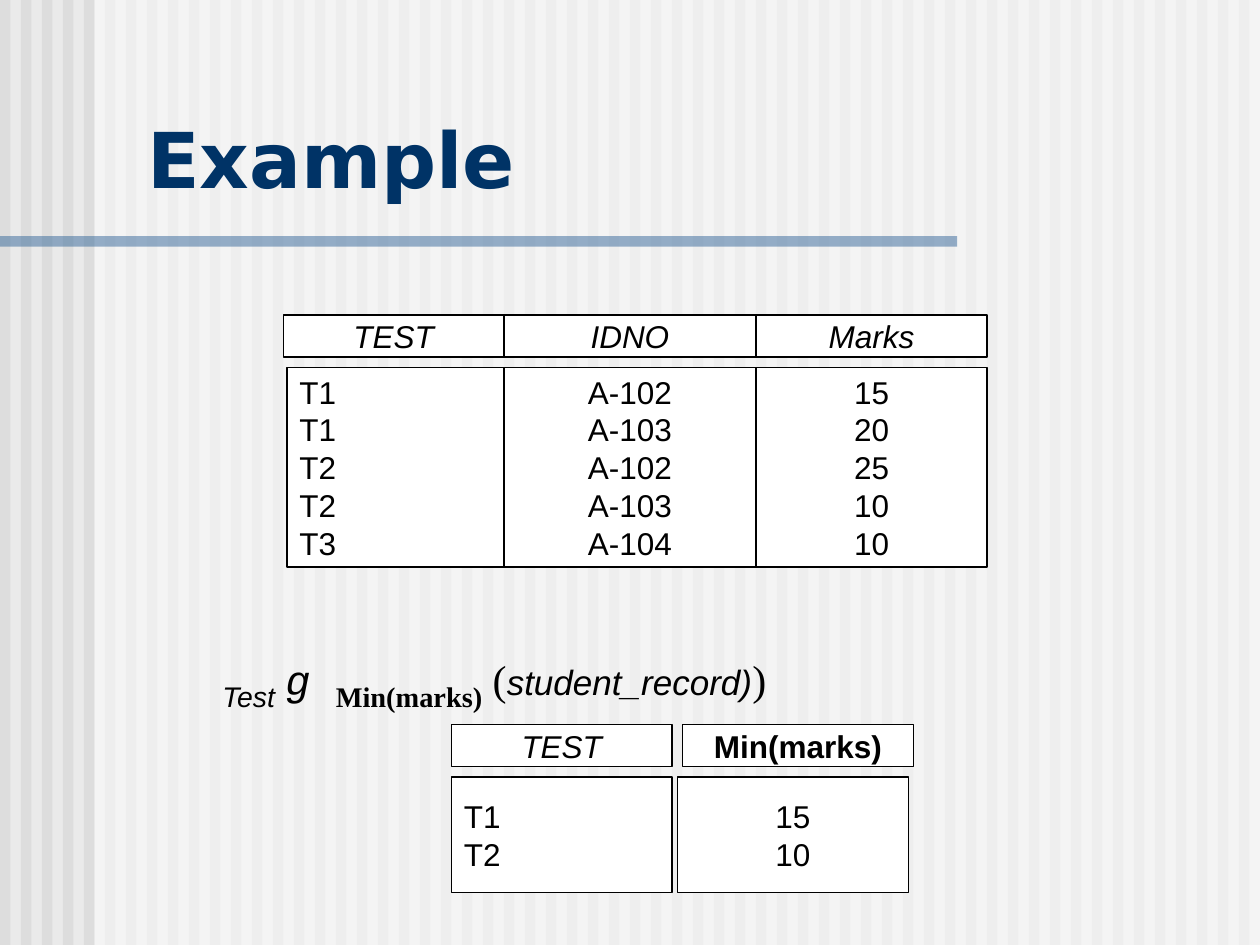
from lxml import etree
from pptx import Presentation
from pptx.dml.color import RGBColor
from pptx.enum.shapes import MSO_SHAPE
from pptx.enum.text import MSO_ANCHOR, PP_ALIGN
from pptx.oxml.ns import qn
from pptx.util import Pt

RECTANGLE = MSO_SHAPE.RECTANGLE
TOP, MIDDLE, BOTTOM = MSO_ANCHOR.TOP, MSO_ANCHOR.MIDDLE, MSO_ANCHOR.BOTTOM
LEFT, CENTER = PP_ALIGN.LEFT, PP_ALIGN.CENTER
WIDTH, HEIGHT = 720, 540


def rgb(color):
    return RGBColor.from_string(color)


class SlideBuilder:
    sans, serif, mono, title_font = "Arial", "Times New Roman", "Courier New", "DejaVu Sans"
    black, white, navy, blue = "000000", "FFFFFF", "003366", "336699"
    background, stripe = "EAEAEA", "DDDDDD"

    def __init__(self, slide):
        self.slide = slide
        fill = slide.background.fill
        fill.solid()
        fill.fore_color.rgb = rgb(self.background)

    def rectangle(self, left, top, width, height, color, opacity=100):
        shape = self.slide.shapes.add_shape(RECTANGLE, Pt(left), Pt(top), Pt(width), Pt(height))
        shape.shadow.inherit = False
        shape.fill.solid()
        shape.fill.fore_color.rgb = rgb(color)
        shape.line.fill.background()
        if opacity < 100:
            color_element = shape.fill._xPr.find(qn("a:solidFill"))[0]
            etree.SubElement(color_element, qn("a:alpha"), val=str(opacity * 1000))
        return shape

    def cell(self, left, top, width, height, lines, align=CENTER, italic=False, bold=False):
        """Draw an outlined box with one paragraph per line."""
        shape = self.rectangle(left, top, width, height, self.white)
        shape.line.color.rgb = rgb(self.black)
        shape.line.width = Pt(0.75)
        frame = shape.text_frame
        frame.word_wrap = False
        frame.vertical_anchor = MIDDLE
        frame.text = "\n".join(lines)
        for paragraph in frame.paragraphs:
            paragraph.alignment = align
            self.style(paragraph.font, self.sans, 18, self.black, italic, bold)

    def text_box(self, left, top, width, height, anchor=TOP):
        """Add an empty wrapping text box and return its first paragraph."""
        frame = self.slide.shapes.add_textbox(Pt(left), Pt(top), Pt(width), Pt(height)).text_frame
        frame.word_wrap = True
        frame.vertical_anchor = anchor
        return frame.paragraphs[0]

    def title(self, text, *box):
        paragraph = self.text_box(*box, anchor=BOTTOM)
        paragraph.text = text
        self.style(paragraph.font, self.title_font, 44, self.navy, bold=True)

    def expression(self, parts, *box):
        """Write runs given as (text, font, size, italic, bold, subscript)."""
        paragraph = self.text_box(*box)
        for text, name, size, italic, bold, subscript in parts:
            run = paragraph.add_run()
            run.text = text
            self.style(run.font, name, size, self.black, italic, bold)
            if subscript:
                run._r.get_or_add_rPr().set("baseline", "-25000")

    @staticmethod
    def style(font, name, size, color, italic=False, bold=False):
        font.name, font.size = name, Pt(size)
        font.italic, font.bold = italic, bold
        font.color.rgb = rgb(color)


def main():
    presentation = Presentation()
    presentation.slide_width, presentation.slide_height = Pt(WIDTH), Pt(HEIGHT)
    builder = SlideBuilder(presentation.slides.add_slide(presentation.slide_layouts[6]))

    for left in range(0, WIDTH, 12):
        builder.rectangle(left, 0, 6, HEIGHT, builder.stripe)
    builder.rectangle(54, 0, WIDTH - 54, HEIGHT, builder.white, opacity=50)
    builder.rectangle(0, 135, 547, 6, builder.blue, opacity=50)

    builder.title("Example", 77, 60, 240.5, 60)
    sans, serif, mono = builder.sans, builder.serif, builder.mono
    builder.expression([
        ("Test", sans, 28, True, False, True),
        (" ", serif, 24, False, False, False),
        ("g ", mono, 24, True, False, False),
        ("Min(marks)", serif, 28, False, True, True),
        (" (", serif, 24, False, False, False),
        ("student_record)", sans, 20, True, False, False),
        (")", serif, 24, False, False, False),
    ], 120, 366, 558, 72)

    # Column: heading, heading left, body left, width, body alignment, values
    record_columns = [
        ("TEST", 162, 164, 126, LEFT, ["T1", "T1", "T2", "T2", "T3"]),
        ("IDNO", 288, 288, 144, CENTER, ["A-102", "A-103", "A-102", "A-103", "A-104"]),
        ("Marks", 432, 432, 132, CENTER, ["15", "20", "25", "10", "10"]),
    ]
    result_columns = [
        ("TEST", 258, 258, 126, LEFT, ["T1", "T2"]),
        ("Min(marks)", 390, 387, 132, CENTER, ["15", "10"]),
    ]
    for columns, top, body_height in [(record_columns, 180, 114), (result_columns, 414, 66)]:
        for heading, head_left, body_left, width, align, values in columns:
            computed = heading == "Min(marks)"
            builder.cell(head_left, top, width, 24, [heading], italic=not computed, bold=computed)
            builder.cell(body_left, top + 30, width, body_height, values, align)

    presentation.save("out.pptx")


if __name__ == "__main__":
    main()
